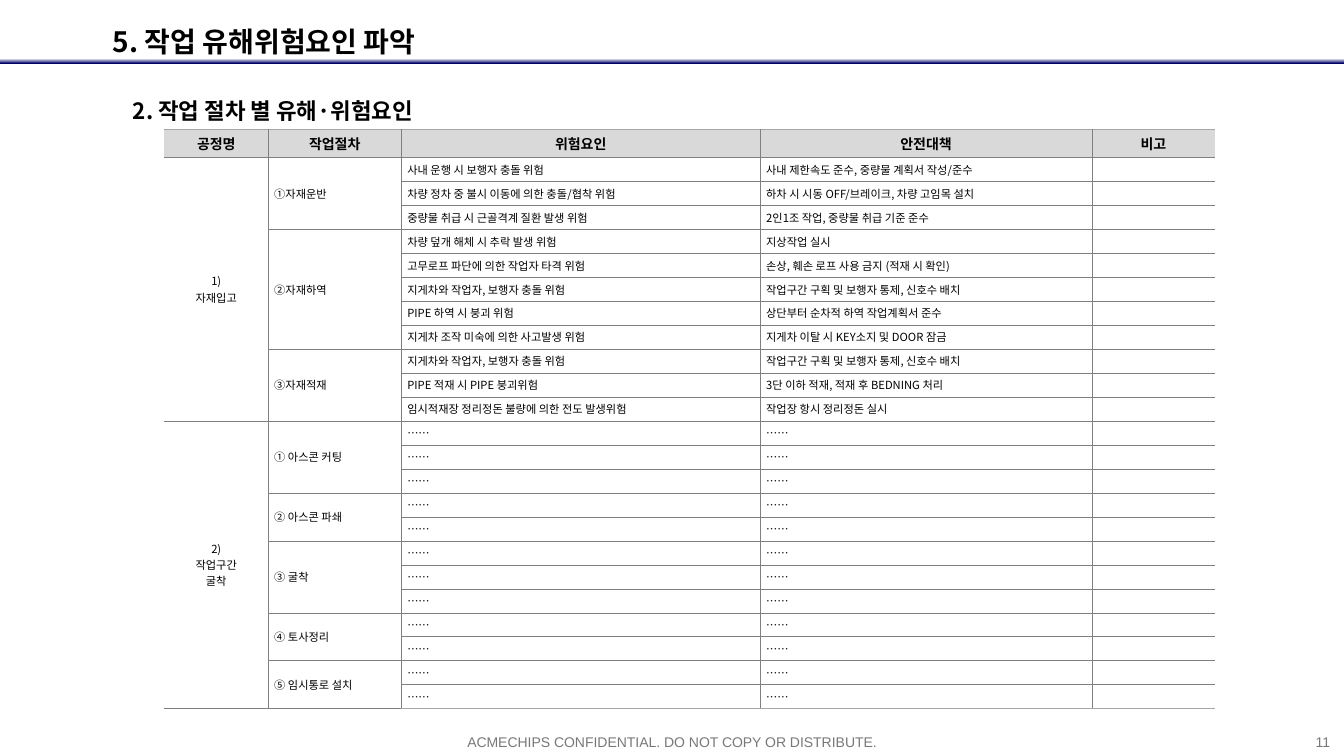
from lxml import etree
from pptx import Presentation
from pptx.dml.color import RGBColor
from pptx.enum import shapes, text
from pptx.oxml import ns
from pptx.util import Inches, Pt

# Content
TITLE = "5. 작업 유해위험요인 파악"
HEADING = "2. 작업 절차 별 유해·위험요인"
FOOTER = "ACMECHIPS CONFIDENTIAL. DO NOT COPY OR DISTRIBUTE."
PAGE = "11"
HEADERS = ["공정명", "작업절차", "위험요인", "안전대책", "비고"]
BLANK = ("……", "……")
PROCESSES = [
    ("1)\n자재입고", [
        ("①자재운반", [
            ("사내 운행 시 보행자 충돌 위험", "사내 제한속도 준수, 중량물 계획서 작성/준수"),
            ("차량 정차 중 불시 이동에 의한 충돌/협착 위험", "하차 시 시동 OFF/브레이크, 차량 고임목 설치"),
            ("중량물 취급 시 근골격계 질환 발생 위험", "2인1조 작업, 중량물 취급 기준 준수"),
        ]),
        ("②자재하역", [
            ("차량 덮개 해체 시 추락 발생 위험", "지상작업 실시"),
            ("고무로프 파단에 의한 작업자 타격 위험", "손상, 훼손 로프 사용 금지 (적재 시 확인)"),
            ("지게차와 작업자, 보행자 충돌 위험", "작업구간 구획 및 보행자 통제, 신호수 배치"),
            ("PIPE 하역 시 붕괴 위험", "상단부터 순차적 하역 작업계획서 준수"),
            ("지게차 조작 미숙에 의한 사고발생 위험", "지게차 이탈 시 KEY소지 및 DOOR 잠금"),
        ]),
        ("③자재적재", [
            ("지게차와 작업자, 보행자 충돌 위험", "작업구간 구획 및 보행자 통제, 신호수 배치"),
            ("PIPE 적재 시 PIPE 붕괴위험", "3단 이하 적재, 적재 후 BEDNING 처리"),
            ("임시적재장 정리정돈 불량에 의한 전도 발생위험", "작업장 항시 정리정돈 실시"),
        ]),
    ]),
    ("2)\n작업구간\n굴착", [
        ("① 아스콘 커팅", [BLANK] * 3),
        ("② 아스콘 파쇄", [BLANK] * 2),
        ("③ 굴착", [BLANK] * 3),
        ("④ 토사정리", [BLANK] * 2),
        ("⑤ 임시통로 설치", [BLANK] * 2),
    ]),
]

# Format values
BLACK = RGBColor(0x00, 0x00, 0x00)
WHITE = RGBColor(0xFF, 0xFF, 0xFF)
NAVY = RGBColor(0x00, 0x00, 0x66)
GRAY = RGBColor(0x78, 0x78, 0x78)
HEADER_FILL = RGBColor(0xD9, 0xD9, 0xD9)
GRID = RGBColor(0x80, 0x80, 0x80)
OUTER = RGBColor(0xA6, 0xA6, 0xA6)
KOREAN = "Noto Sans CJK KR"
TITLE_FONT = {"name": KOREAN, "size": Pt(20), "bold": True}
HEADING_FONT = {"name": KOREAN, "size": Pt(16), "bold": True}
HEADER_FONT = {"name": KOREAN, "size": Pt(10), "bold": True}
CELL_FONT = {"name": KOREAN, "size": Pt(8), "bold": False}
FOOTER_FONT = {"name": "Arial", "size": Pt(10)}
CELL_FORMAT = {"margin_left": Inches(0.06), "margin_right": Inches(0.06),
               "margin_top": Inches(0.02), "margin_bottom": Inches(0.02),
               "vertical_anchor": text.MSO_ANCHOR.MIDDLE}
LEFT, CENTER, RIGHT = text.PP_ALIGN.LEFT, text.PP_ALIGN.CENTER, text.PP_ALIGN.RIGHT
COLUMN_WIDTHS = [1.03, 1.32, 3.56, 3.29, 1.22]
HEADER_HEIGHT, TABLE_HEIGHT = 0.28, 5.75


def write(frame, content, font, color=BLACK, align=LEFT):
    for index, line in enumerate(content.split("\n")):
        paragraph = frame.paragraphs[0] if index == 0 else frame.add_paragraph()
        paragraph.alignment = align
        run = paragraph.add_run()
        run.text = line
        for name, value in font.items():
            setattr(run.font, name, value)
        run.font.color.rgb = color
        east_asian = etree.SubElement(run.font._element, ns.qn("a:ea"))
        east_asian.set("typeface", font["name"])


def add_text(slide, box, content, font, color=BLACK, align=LEFT, wrap=True):
    shape = slide.shapes.add_textbox(*map(Inches, box))
    shape.text_frame.word_wrap = wrap
    write(shape.text_frame, content, font, color, align)
    return shape.text_frame


def set_borders(cell, borders):
    properties = cell._tc.get_or_add_tcPr()
    for index, (side, color) in enumerate(borders.items()):
        line = etree.Element(ns.qn(f"a:ln{side}"), w=str(Pt(0.25)))
        if color is None:
            etree.SubElement(line, ns.qn("a:noFill"))
        else:
            fill = etree.SubElement(line, ns.qn("a:solidFill"))
            etree.SubElement(fill, ns.qn("a:srgbClr"), val=str(color))
        properties.insert(index, line)


def add_hazard_table(slide):
    row_total = 1 + sum(len(rows) for _, steps in PROCESSES for _, rows in steps)
    column_total = len(HEADERS)
    table = slide.shapes.add_table(
        row_total, column_total, Inches(1.63), Inches(1.28),
        Inches(sum(COLUMN_WIDTHS)), Inches(TABLE_HEIGHT)).table
    for column, width in zip(table.columns, COLUMN_WIDTHS):
        column.width = Inches(width)
    body_height = (TABLE_HEIGHT - HEADER_HEIGHT) / (row_total - 1)
    for index, row in enumerate(table.rows):
        row.height = Inches(body_height if index else HEADER_HEIGHT)

    # Cell fills, margins and borders
    for r in range(row_total):
        for c in range(column_total):
            cell = table.cell(r, c)
            for name, value in CELL_FORMAT.items():
                setattr(cell, name, value)
            if r == 0:
                cell.fill.solid()
                cell.fill.fore_color.rgb = HEADER_FILL
            else:
                cell.fill.background()
            set_borders(cell, {
                "L": GRID if c else None,
                "R": GRID if c < column_total - 1 else None,
                "T": GRID if r else OUTER,
                "B": GRID if r < row_total - 1 else OUTER})
            end = etree.SubElement(cell.text_frame.paragraphs[0]._p, ns.qn("a:endParaRPr"))
            end.set("sz", "800")

    # Cell text and merged groups
    for c, header in enumerate(HEADERS):
        write(table.cell(0, c).text_frame, header, HEADER_FONT, align=CENTER)
    r = 1
    for process, steps in PROCESSES:
        process_cell, process_row = table.cell(r, 0), r
        for step, rows in steps:
            step_cell = table.cell(r, 1)
            step_cell.merge(table.cell(r + len(rows) - 1, 1))
            write(step_cell.text_frame, step, CELL_FONT)
            for hazard, measure in rows:
                write(table.cell(r, 2).text_frame, hazard, CELL_FONT)
                write(table.cell(r, 3).text_frame, measure, CELL_FONT)
                r += 1
        process_cell.merge(table.cell(r - 1, 0))
        write(table.cell(process_row, 0).text_frame, process, CELL_FONT, align=CENTER)


def main():
    presentation = Presentation()
    presentation.slide_width, presentation.slide_height = Inches(13.33), Inches(7.5)
    slide = presentation.slides.add_slide(presentation.slide_layouts[6])

    # Gradient rule under the title
    rule = slide.shapes.add_shape(shapes.MSO_SHAPE.RECTANGLE, 0, Inches(0.58),
                                  presentation.slide_width, Inches(0.05))
    rule.shadow.inherit = False
    rule.line.fill.background()
    rule.fill.gradient()
    rule.fill.gradient_angle = 270
    for stop, color, position in zip(rule.fill.gradient_stops, (WHITE, NAVY), (0, 1)):
        stop.color.rgb = color
        stop.position = position

    # Footer
    add_text(slide, (4.16, 7.23, 5.01, 0.27), FOOTER, FOOTER_FONT, GRAY, CENTER)
    add_text(slide, (12.92, 7.23, 0.37, 0.27), PAGE, FOOTER_FONT, GRAY, RIGHT, wrap=False)

    # Section heading
    heading = add_text(slide, (1.22, 0.78, 4.64, 0.5), HEADING, HEADING_FONT).paragraphs[0]
    heading.line_spacing = 1.5
    heading.space_after = Pt(10)
    indent = heading._p.get_or_add_pPr()
    indent.set("marL", str(Inches(0.29)))
    indent.set("indent", str(-Inches(0.29)))

    add_hazard_table(slide)

    # Slide title
    title = add_text(slide, (1.02, 0.03, 3.54, 0.6), TITLE, TITLE_FONT, wrap=False)
    title.vertical_anchor = text.MSO_ANCHOR.MIDDLE
    title.paragraphs[0].line_spacing = 1.5

    presentation.save("out.pptx")


if __name__ == "__main__":
    main()
